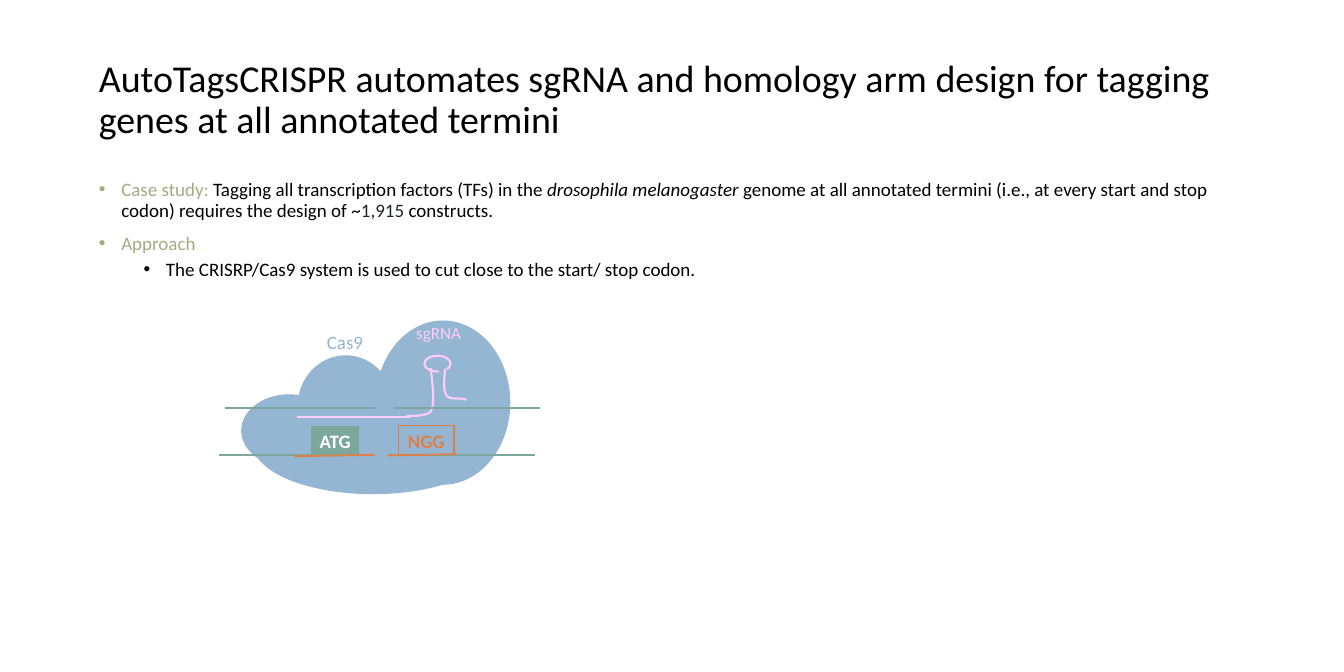
from lxml.etree import SubElement
from pptx import Presentation
from pptx.dml.color import RGBColor
from pptx.enum.shapes import MSO_CONNECTOR, MSO_SHAPE
from pptx.enum.text import MSO_ANCHOR, PP_ALIGN
from pptx.oxml.ns import qn
from pptx.util import Pt

FONT = "Calibri"
BLACK = RGBColor(0x00, 0x00, 0x00)
CHARCOAL = RGBColor(0x1F, 0x23, 0x28)
WHITE = RGBColor(0xFF, 0xFF, 0xFF)
OLIVE = RGBColor(0xA5, 0xAB, 0x81)
BLUE = RGBColor(0x94, 0xB6, 0xD2)
PINK = RGBColor(0xFF, 0xCC, 0xFF)
GREEN = RGBColor(0x7B, 0xA7, 0x9D)
ORANGE = RGBColor(0xDD, 0x80, 0x47)

# Content: runs are (text, colour, italic); all lengths are points
TITLE = ("AutoTagsCRISPR automates sgRNA and homology arm design "
         "for tagging genes at all annotated termini")
BULLETS = [  # level, space before, runs
    (0, 0, [
        ("Case study:", OLIVE, False),
        (" Tagging all transcription factors (TFs) in the ", BLACK, False),
        ("drosophila melanogaster ", BLACK, True),
        ("genome at all annotated termini (i.e., at every start and stop codon) "
         "requires the design of ~", BLACK, False),
        ("1,915", CHARCOAL, False),
        (" constructs.", BLACK, False)]),
    (0, 13.1, [("Approach", OLIVE, False)]),
    (1, 6.6, [("The CRISRP/Cas9 system is used to cut close to the start/ stop codon.",
               BLACK, False)]),
]
BULLET_HANG = 23.6
LEVEL_STEP = 47.2

CAS9_LOBES = [  # left, top, width, height
    (396.7, 338.4, 141.1, 172.1),
    (314.6, 375.1, 100.1, 105.8),
    (254.9, 416.2, 100.1, 75.6),
    (267.1, 414.7, 252.7, 105.8),
]
GUIDE_LINE = (313.2, 439.2, 432, 439.2)
HAIRPIN_LOOP = (447.8, 375.1, 27.4, 16.6)
HAIRPIN_ANGLES = (79.05, 30.31)
HAIRPIN_STEMS = [  # start, then two controls and an end for each curve
    [(469.4, 388.8), (468.7, 400.3), (467.3, 411.1), (470.9, 416.9),
     (475.2, 422.6), (489.6, 418.3), (491.8, 421.9)],
    [(454.3, 388.1), (456.5, 406.1), (458.6, 424.1), (455, 432.7),
     (451.4, 441.4), (419, 437), (433.4, 439.2)],
]
CAPTIONS = [  # text, size, colour, box
    ("Cas9", 20, BLUE, (337.7, 344.9, 64.1, 31.7)),
    ("sgRNA", 18, PINK, (432, 336.2, 62.6, 28.8)),
]
CODONS = [  # text, text colour, fill, line colour, line width, box
    ("ATG", WHITE, GREEN, GREEN, 1, (329, 449.3, 49, 31)),
    ("NGG", ORANGE, None, ORANGE, 1.75, (420.5, 448.6, 58.3, 31.7)),
]
STRAND_STARTS = [(236.9, 429.8), (231.1, 479.5)]
STRAND_PIECES = [(0, 158.4), (178.2, 333)]
TARGET_LINES = [(409, 480.2, 481, 478.8), (310.3, 481, 395.3, 479.5)]

presentation = Presentation()
presentation.slide_width = Pt(1417.68)
presentation.slide_height = Pt(708.48)
slide = presentation.slides.add_slide(presentation.slide_layouts[6])


def points(lengths):
    return [Pt(length) for length in lengths]


def add_run(paragraph, text, size, color, bold=False, italic=False):
    run = paragraph.add_run()
    run.text = text
    run.font.name = FONT
    run.font.size = Pt(size)
    run.font.bold = bold
    run.font.italic = italic
    run.font.color.rgb = color


def add_text_box(box, wrap=True):
    frame = slide.shapes.add_textbox(*points(box)).text_frame
    frame.word_wrap = wrap
    return frame


def style(shape, fill, line, width):
    shape.shadow.inherit = False
    if fill is None:
        shape.fill.background()
    else:
        shape.fill.solid()
        shape.fill.fore_color.rgb = fill
    shape.line.color.rgb = line
    shape.line.width = Pt(width)


def add_shape(kind, box, fill, line, width):
    shape = slide.shapes.add_shape(kind, *points(box))
    style(shape, fill, line, width)
    return shape


def add_line(ends, color):
    connector = slide.shapes.add_connector(MSO_CONNECTOR.STRAIGHT, *points(ends))
    connector.line.color.rgb = color
    connector.line.width = Pt(2)
    SubElement(connector._element.spPr, qn("a:effectLst"))


def curve_points(nodes, steps=16):
    """Points along a chain of cubic curves, after the start."""
    for first in range(0, len(nodes) - 1, 3):
        corners = nodes[first:first + 4]
        for step in range(1, steps + 1):
            t = step / steps
            weights = ((1 - t) ** 3, 3 * t * (1 - t) ** 2, 3 * t * t * (1 - t), t ** 3)
            yield tuple(Pt(sum(w * corner[axis] for w, corner in zip(weights, corners)))
                        for axis in (0, 1))


# Title
title_frame = add_text_box((97.2, 37.4, 1222.6, 136.8))
title_frame.vertical_anchor = MSO_ANCHOR.MIDDLE
title_paragraph = title_frame.paragraphs[0]
title_paragraph.line_spacing = 0.9
add_run(title_paragraph, TITLE, 40, BLACK)

# Bullets
body_frame = add_text_box((97.2, 186.5, 1222.6, 449.3))
for index, (level, space_before, runs) in enumerate(BULLETS):
    paragraph = body_frame.add_paragraph() if index else body_frame.paragraphs[0]
    paragraph.level = level
    paragraph.line_spacing = 0.9
    paragraph.space_before = Pt(space_before)
    properties = paragraph._p.get_or_add_pPr()
    properties.set("marL", str(Pt(BULLET_HANG + level * LEVEL_STEP)))
    properties.set("indent", str(-Pt(BULLET_HANG)))
    SubElement(properties, qn("a:buFont"), typeface="Arial")
    SubElement(properties, qn("a:buChar"), char="•")
    for text, color, italic in runs:
        add_run(paragraph, text, 20, color, italic=italic)

# Cas9 protein
for lobe in CAS9_LOBES:
    add_shape(MSO_SHAPE.OVAL, lobe, BLUE, BLUE, 1)

# Guide RNA with its hairpin
add_line(GUIDE_LINE, PINK)
loop = add_shape(MSO_SHAPE.ARC, HAIRPIN_LOOP, None, PINK, 2.25)
for index, angle in enumerate(HAIRPIN_ANGLES):
    loop.adjustments[index] = angle * 0.6  # 60000ths of a degree over 100000
for stem in HAIRPIN_STEMS:
    builder = slide.shapes.build_freeform(*points(stem[0]))
    builder.add_line_segments(list(curve_points(stem)), close=False)
    style(builder.convert_to_shape(), None, PINK, 2.25)

# Captions
for text, size, color, box in CAPTIONS:
    add_run(add_text_box(box, wrap=False).paragraphs[0], text, size, color)

# Codon boxes
for text, color, fill, line, width, box in CODONS:
    frame = add_shape(MSO_SHAPE.RECTANGLE, box, fill, line, width).text_frame
    frame.word_wrap = False
    frame.vertical_anchor = MSO_ANCHOR.MIDDLE
    frame.paragraphs[0].alignment = PP_ALIGN.CENTER
    add_run(frame.paragraphs[0], text, 20, color, bold=True)

# Cut DNA strands and target sites
for left, top in STRAND_STARTS:
    for begin, end in STRAND_PIECES:
        add_line((left + begin, top, left + end, top), GREEN)
for ends in TARGET_LINES:
    add_line(ends, ORANGE)

presentation.save("out.pptx")
